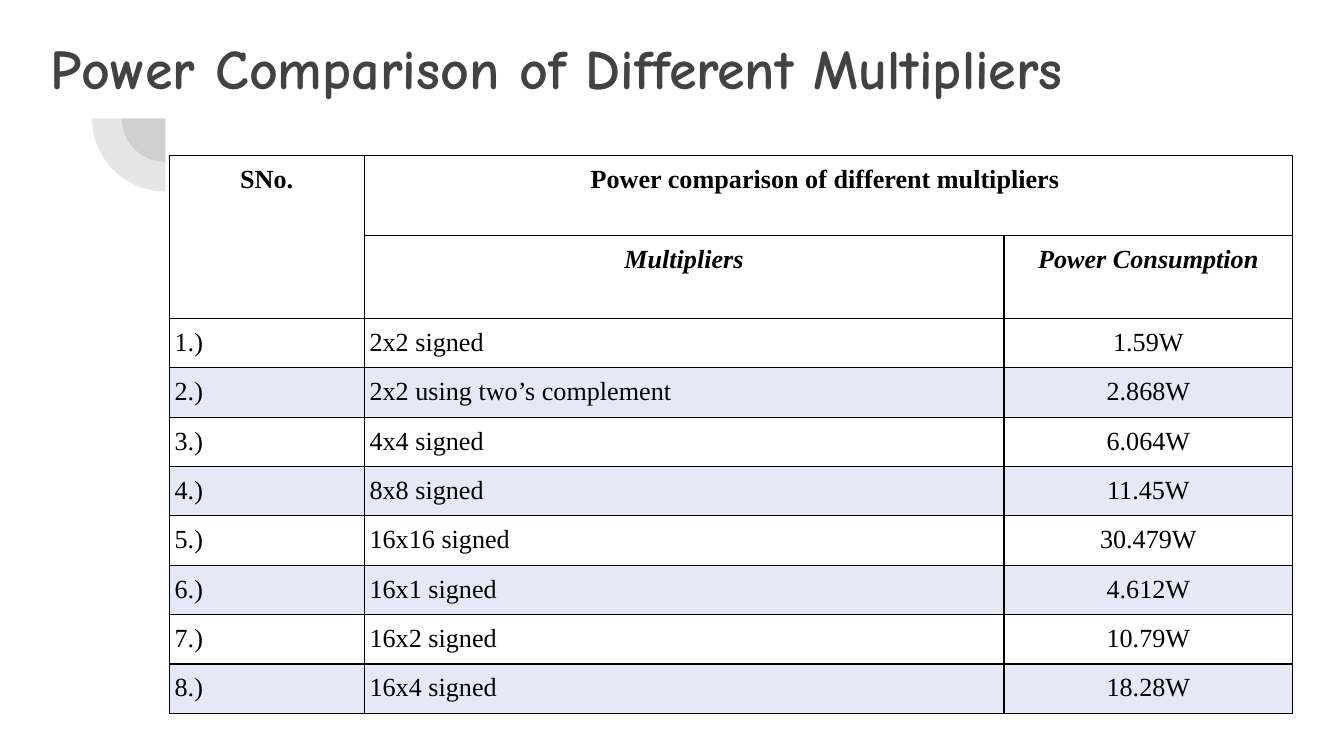
from lxml.etree import SubElement
from pptx import Presentation
from pptx.dml.color import RGBColor
from pptx.enum.shapes import MSO_SHAPE
from pptx.enum.text import MSO_ANCHOR, PP_ALIGN
from pptx.oxml.ns import qn
from pptx.util import Inches, Pt

TITLE = "Power Comparison of Different Multipliers"
GROUP_HEADING = "Power comparison of different multipliers "
HEADINGS = ("SNo.", "Multipliers", "Power Consumption")
MULTIPLIERS = [
    ("2x2 signed", "1.59W"),
    ("2x2 using two’s complement", "2.868W"),
    ("4x4 signed", "6.064W"),
    ("8x8 signed ", "11.45W"),
    ("16x16 signed", "30.479W"),
    ("16x1 signed", "4.612W"),
    ("16x2 signed", "10.79W"),
    ("16x4 signed", "18.28W"),
]

DARK_GRAY = RGBColor(0x42, 0x42, 0x42)
BLACK = RGBColor(0, 0, 0)
BAND = RGBColor(0xE4, 0xE9, 0xF5)

SLIDE_WIDTH = Inches(10)
SLIDE_HEIGHT = SLIDE_WIDTH * 9 // 16
COLUMN_WIDTHS = (1.45, 4.76, 2.15)
HEADER_HEIGHTS = (0.59, 0.62)
BODY_HEIGHT = 2.94
TABLE_LEFT, TABLE_TOP = 1.26, 1.16
PIE_CENTER = (1.23, 0.88)
PIE_DIAMETERS = (0.65, 1.09)


def add_quarter_circle(slide, diameter):
    left, top = (Inches(center - diameter / 2) for center in PIE_CENTER)
    shape = slide.shapes.add_shape(
        MSO_SHAPE.PIE, left, top, Inches(diameter), Inches(diameter))
    shape.adjustments[0] = 108
    shape.adjustments[1] = 162
    shape.rotation = 270
    shape.shadow.inherit = False
    shape.line.fill.background()
    shape.fill.solid()
    shape.fill.fore_color.rgb = DARK_GRAY
    color = shape.fill._xPr.find(qn("a:solidFill"))[0]
    SubElement(color, qn("a:alpha"), val="13000")


def add_title(slide):
    box = slide.shapes.add_textbox(
        Inches(0.28), Inches(0.15), Inches(8.74), Inches(1.09))
    frame = box.text_frame
    frame.word_wrap = True
    frame.vertical_anchor = MSO_ANCHOR.TOP
    frame.margin_left = frame.margin_right = Inches(0.1)
    frame.margin_top = frame.margin_bottom = Inches(0.1)
    paragraph = frame.paragraphs[0]
    paragraph.text = TITLE
    font = paragraph.font
    font.name, font.size, font.bold = "Comic Neue", Pt(30), True
    font.color.rgb = DARK_GRAY


def style_cell(cell, banded):
    cell.margin_left = cell.margin_right = Inches(0.04)
    cell.margin_top = cell.margin_bottom = Inches(0.04)
    properties = cell._tc.get_or_add_tcPr()
    for side in ("a:lnL", "a:lnR", "a:lnT", "a:lnB"):
        border = SubElement(properties, qn(side), w=str(Pt(0.75)))
        fill = SubElement(border, qn("a:solidFill"))
        SubElement(fill, qn("a:srgbClr"), val=str(BLACK))
    if banded:
        cell.fill.solid()
        cell.fill.fore_color.rgb = BAND
    else:
        cell.fill.background()


def write_cell(cell, text, alignment, bold=False, italic=False):
    paragraph = cell.text_frame.paragraphs[0]
    paragraph.text = text
    paragraph.alignment = alignment
    paragraph.line_spacing = 1.15
    font = paragraph.font
    font.name, font.size = "Times New Roman", Pt(14)
    font.bold, font.italic = bold, italic
    font.color.rgb = BLACK


def add_power_table(slide):
    row_height = BODY_HEIGHT / len(MULTIPLIERS)
    heights = HEADER_HEIGHTS + (row_height,) * len(MULTIPLIERS)
    table = slide.shapes.add_table(
        len(heights), len(COLUMN_WIDTHS), Inches(TABLE_LEFT), Inches(TABLE_TOP),
        Inches(sum(COLUMN_WIDTHS)), Inches(sum(heights))).table
    table.first_row = table.horz_banding = False
    for column, width in zip(table.columns, COLUMN_WIDTHS):
        column.width = Inches(width)
    for index, height in enumerate(heights):
        table.rows[index].height = Inches(height)
        banded = index >= len(HEADER_HEIGHTS) and index % 2 == 1
        for cell in table.rows[index].cells:
            style_cell(cell, banded)

    table.cell(0, 0).merge(table.cell(1, 0))
    table.cell(0, 1).merge(table.cell(0, 2))
    center = PP_ALIGN.CENTER
    write_cell(table.cell(0, 0), HEADINGS[0], center, bold=True)
    write_cell(table.cell(0, 1), GROUP_HEADING, center, bold=True)
    for column in (1, 2):
        write_cell(table.cell(1, column), HEADINGS[column], center, True, True)

    alignments = (PP_ALIGN.JUSTIFY, PP_ALIGN.JUSTIFY, center)
    for number, (name, power) in enumerate(MULTIPLIERS, start=1):
        row = len(HEADER_HEIGHTS) + number - 1
        values = (f"{number}.)", name, power)
        for column, (value, alignment) in enumerate(zip(values, alignments)):
            write_cell(table.cell(row, column), value, alignment)


def main():
    presentation = Presentation()
    presentation.slide_width = SLIDE_WIDTH
    presentation.slide_height = SLIDE_HEIGHT
    slide = presentation.slides.add_slide(presentation.slide_layouts[6])
    for diameter in PIE_DIAMETERS:
        add_quarter_circle(slide, diameter)
    add_title(slide)
    add_power_table(slide)
    presentation.save("out.pptx")


if __name__ == "__main__":
    main()
